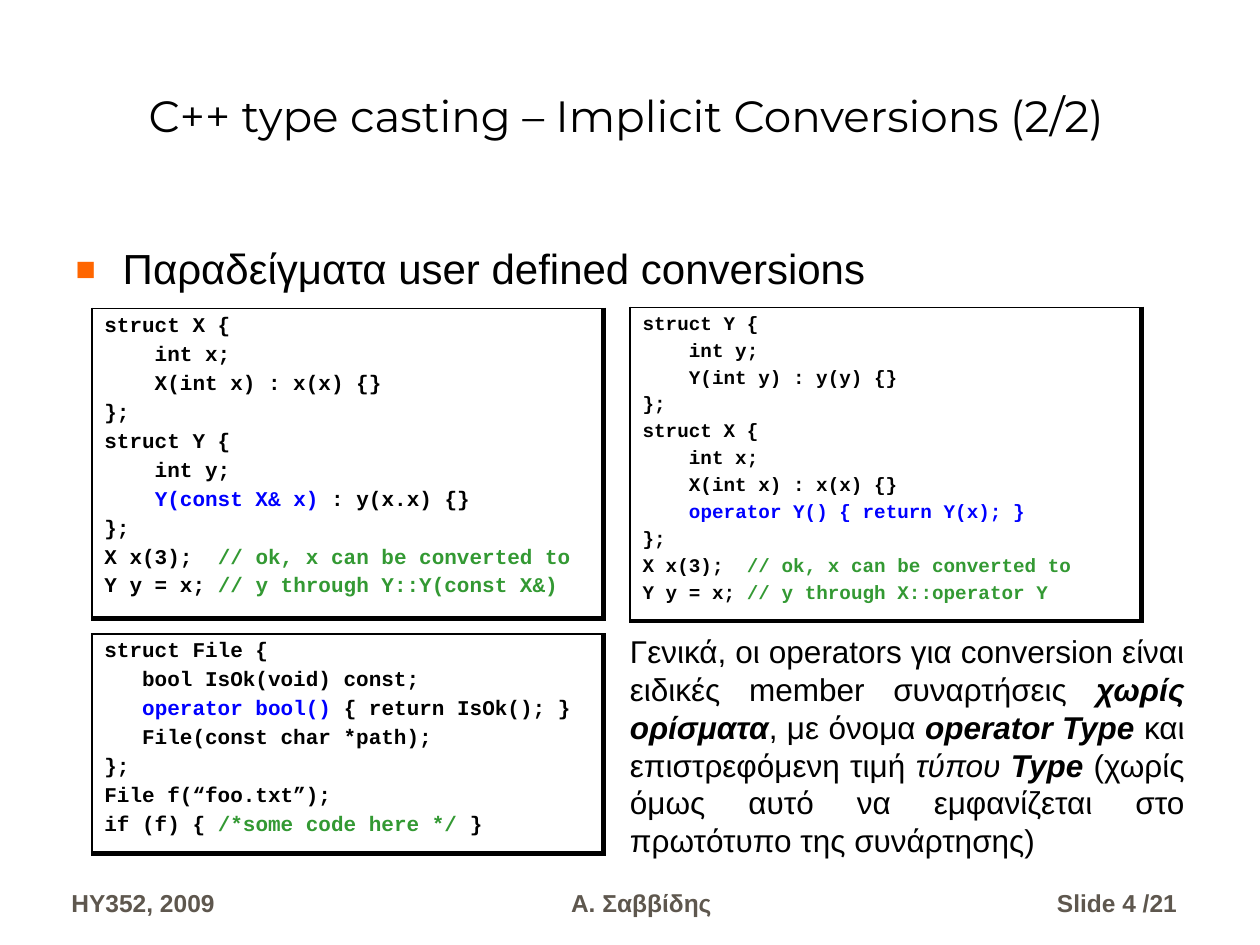
"""Build a lecture slide on implicit conversions in C++."""
import pptx
import pptx.dml.color
import pptx.enum.text
import pptx.oxml
import pptx.oxml.ns
import pptx.util

Cm, Pt = pptx.util.Cm, pptx.util.Pt
RGBColor = pptx.dml.color.RGBColor
ALIGN = pptx.enum.text.PP_ALIGN
ANCHOR = pptx.enum.text.MSO_ANCHOR

BLACK = RGBColor(0x00, 0x00, 0x00)
WHITE = RGBColor(0xFF, 0xFF, 0xFF)
BLUE = RGBColor(0x00, 0x00, 0xFF)
GREEN = RGBColor(0x33, 0x99, 0x33)
ORANGE = RGBColor(0xFF, 0x66, 0x00)
BROWN = RGBColor(0x5E, 0x57, 0x4E)

TITLE = "C++ type casting – Implicit Conversions (2/2)"
BULLET = "Παραδείγματα user defined conversions"

BY_CONSTRUCTOR = [
    ["struct X {"],
    ["    int x;"],
    ["    X(int x) : x(x) {}"],
    ["};"],
    ["struct Y {"],
    ["    int y;"],
    ["    ", ("Y(const X& x)", BLUE), " : y(x.x) {}"],
    ["};"],
    ["X x(3);  ", ("// ok, x can be converted to", GREEN)],
    ["Y y = x; ", ("// y through Y::Y(const X&)", GREEN)],
]
BY_OPERATOR = [
    ["struct Y {"],
    ["    int y;"],
    ["    Y(int y) : y(y) {}"],
    ["};"],
    ["struct X {"],
    ["    int x;"],
    ["    X(int x) : x(x) {}"],
    ["    ", ("operator Y() { return Y(x); }", BLUE)],
    ["};"],
    ["X x(3);  ", ("// ok, x can be converted to", GREEN)],
    ["Y y = x; ", ("// y through X::operator Y", GREEN)],
]
BOOL_OPERATOR = [
    ["struct File {"],
    ["   bool IsOk(void) const;"],
    ["   ", ("operator bool()", BLUE), " { return IsOk(); }"],
    ["   File(const char *path);"],
    ["};"],
    ["File f(“foo.txt”);"],
    ["if (f) { ", ("/*some code here */", GREEN), " }"],
]
CODE_WIDTH = 10.31
CODE_BOXES = [
    (BY_CONSTRUCTOR, 1.85, 6.22, 6.25, 12, 3),
    (BY_OPERATOR, 12.7, 6.2, 6.32, 11, 2.8),
    (BOOL_OPERATOR, 1.85, 12.78, 4.42, 12, 3),
]
NOTE = [
    ("Γενικά, οι operators για conversion είναι ειδικές member συναρτήσεις ", False, False),
    ("χωρίς ορίσματα", True, True),
    (", με όνομα ", False, False),
    ("operator Type ", True, True),
    ("και επιστρεφόμενη τιμή ", False, False),
    ("τύπου ", False, True),
    ("Type", True, True),
    (" (χωρίς όμως αυτό να εμφανίζεται στο πρωτότυπο της συνάρτησης)", False, False),
]
FOOTERS = [
    ("HY352, 2009", 1.19, 4.14, ALIGN.LEFT),
    ("Α. Σαββίδης", 5.54, 14.78, ALIGN.CENTER),
    ("Slide 4 /21", 20.5, 3.48, ALIGN.RIGHT),
]
BORDERS = [("lnL", 1.08), ("lnR", 3), ("lnT", 1.08), ("lnB", 3)]


def xml(markup):
    head, tail = markup.split(" ", 1)
    return pptx.oxml.parse_xml(f"{head} {pptx.oxml.ns.nsdecls('a')} {tail}")


def style(r, font, size, color=BLACK, bold=False, italic=False):
    r.font.name, r.font.size = font, Pt(size)
    r.font.bold, r.font.italic = bold, italic
    r.font.color.rgb = color


def place(sp, left, top, width, height):
    sp.left, sp.top, sp.width, sp.height = Cm(left), Cm(top), Cm(width), Cm(height)


def prepare(sp, anchor):
    tf = sp.text_frame
    tf.word_wrap = True
    tf.auto_size = pptx.enum.text.MSO_AUTO_SIZE.NONE
    tf.vertical_anchor = anchor
    return tf


def add_text(s, left, top, width, height, anchor):
    return prepare(s.shapes.add_textbox(Cm(left), Cm(top), Cm(width), Cm(height)), anchor)


def add_title(s):
    sp = s.shapes.title
    place(sp, 2.74, 0.43, 22.66, 2.54)
    tf = prepare(sp, ANCHOR.BOTTOM)
    tf.text = TITLE
    p = tf.paragraphs[0]
    p.alignment = ALIGN.LEFT
    style(p.runs[0], "Montserrat", 25)


def add_bullet(s):
    sp = s.placeholders[1]
    place(sp, 1.27, 4.88, 23.06, 12.27)
    tf = prepare(sp, ANCHOR.TOP)
    tf.text = BULLET
    p = tf.paragraphs[0]
    p.line_spacing, p.space_before = 0.9, Pt(6)
    style(p.runs[0], "Arial", 24)
    pPr = p._p.get_or_add_pPr()
    pPr.set("marL", str(Cm(0.95)))
    pPr.set("indent", str(Cm(-0.95)))
    pPr.append(xml(f'<a:buClr ><a:srgbClr val="{ORANGE}"/></a:buClr>'))
    pPr.append(xml('<a:buSzPct val="80000"/>'))
    pPr.append(xml('<a:buFont typeface="Arial"/>'))
    pPr.append(xml('<a:buChar char="■"/>'))


def add_code(s, lines, left, top, height, size, gap):
    frame = s.shapes.add_table(1, 1, Cm(left), Cm(top), Cm(CODE_WIDTH), Cm(height))
    table = frame.table
    table.first_row = table.horz_banding = False
    cell = table.cell(0, 0)
    cell.fill.solid()
    cell.fill.fore_color.rgb = WHITE
    tcPr = cell._tc.get_or_add_tcPr()
    for i, (side, width) in enumerate(BORDERS):
        tcPr.insert(i, xml(f'<a:{side} w="{Pt(width)}"><a:solidFill>'
                           f'<a:srgbClr val="{BLACK}"/></a:solidFill></a:{side}>'))
    tf = cell.text_frame
    for i, line in enumerate(lines):
        p = tf.add_paragraph() if i else tf.paragraphs[0]
        p.space_before = Pt(gap)
        for part in line:
            text, color = (part, BLACK) if isinstance(part, str) else part
            r = p.add_run()
            r.text = text
            style(r, "Courier New", size, color, bold=True)


def add_note(s):
    p = add_text(s, 12.45, 12.62, 11.68, 4.83, ANCHOR.TOP).paragraphs[0]
    p.alignment = ALIGN.JUSTIFY
    for text, bold, italic in NOTE:
        r = p.add_run()
        r.text = text
        style(r, "Arial", 18, bold=bold, italic=italic)


def add_footer(s, text, left, width, alignment):
    tf = add_text(s, left, 17.35, width, 1.27, ANCHOR.BOTTOM)
    tf.text = text
    p = tf.paragraphs[0]
    p.alignment, p.space_before = alignment, Pt(8.8)
    style(p.runs[0], "Arial", 14, BROWN, bold=True)


def main():
    prs = pptx.Presentation()
    prs.slide_width, prs.slide_height = Cm(25.4), Cm(19.05)
    s = prs.slides.add_slide(prs.slide_layouts[1])
    add_title(s)
    add_bullet(s)
    for box in CODE_BOXES:
        add_code(s, *box)
    add_note(s)
    for footer in FOOTERS:
        add_footer(s, *footer)
    prs.save("out.pptx")


if __name__ == "__main__":
    main()
